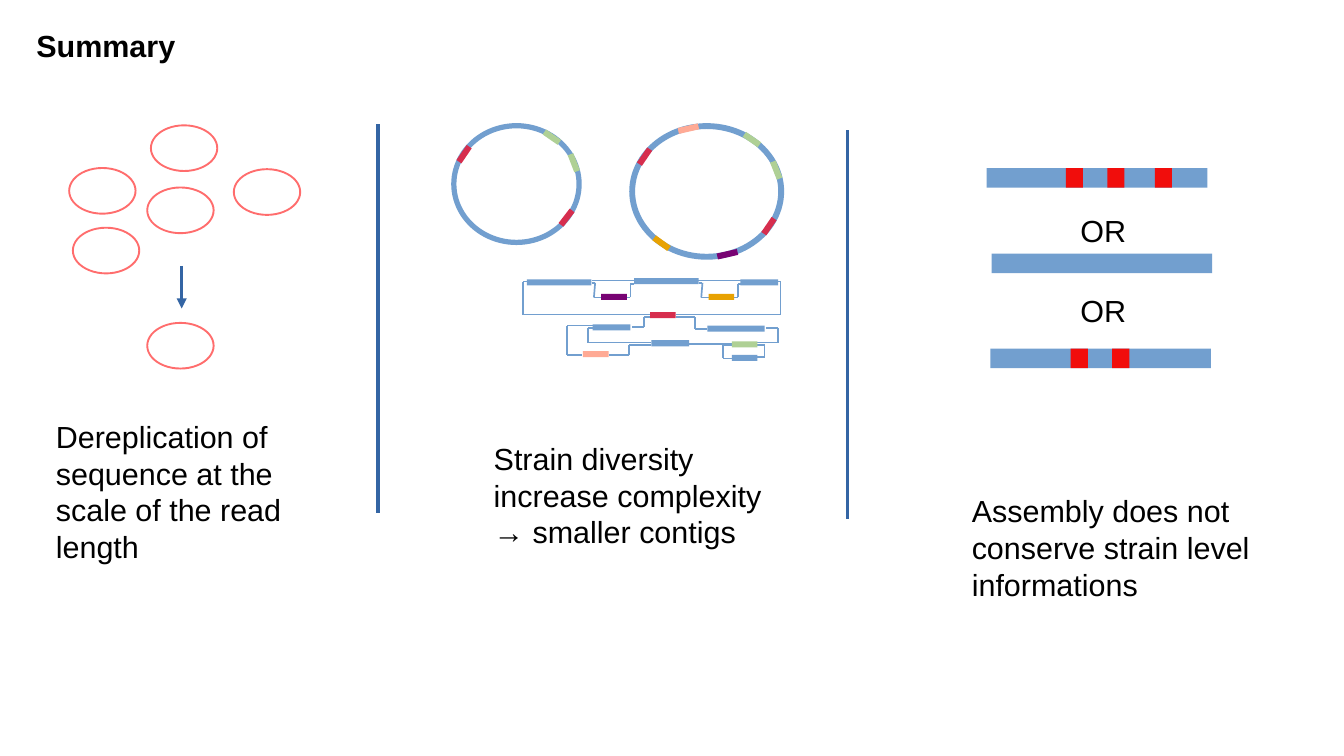
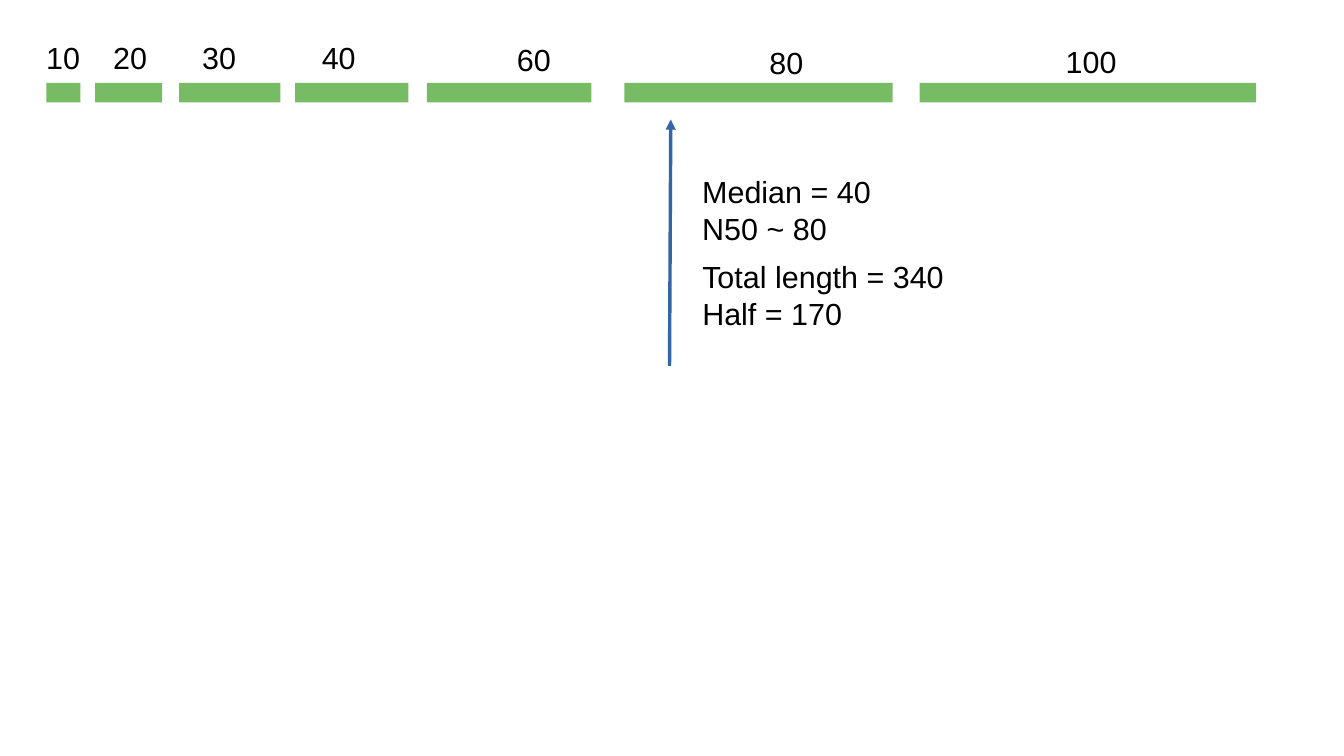
from itertools import pairwise

from lxml import etree
from pptx import Presentation
from pptx.dml.color import RGBColor
from pptx.enum.shapes import MSO_CONNECTOR, MSO_SHAPE
from pptx.enum.text import MSO_ANCHOR, MSO_AUTO_SIZE
from pptx.oxml.ns import qn
from pptx.util import Pt

RECTANGLE = MSO_SHAPE.RECTANGLE
DONUT = MSO_SHAPE.DONUT
STRAIGHT = MSO_CONNECTOR.STRAIGHT
PX = 9144


class Theme:
    text = RGBColor.from_string("000000")
    background = RGBColor.from_string("FFFFFF")
    blue = RGBColor.from_string("729FCF")
    navy = RGBColor.from_string("3465A4")
    coral = RGBColor.from_string("FF6D6D")
    lime = RGBColor.from_string("AFD095")
    crimson = RGBColor.from_string("D62E4E")
    amber = RGBColor.from_string("E8A202")
    purple = RGBColor.from_string("780373")
    salmon = RGBColor.from_string("FFAA95")
    red = RGBColor.from_string("F10D0C")
    green = RGBColor.from_string("77BC65")
    font = "Arial"
    size = Pt(18)
    wire = Pt(1)
    hairline = Pt(0)


FRAME_FORMAT = {
    "word_wrap": True,
    "auto_size": MSO_AUTO_SIZE.SHAPE_TO_FIT_TEXT,
    "vertical_anchor": MSO_ANCHOR.TOP,
    "margin_left": 10 * PX,
    "margin_right": 10 * PX,
    "margin_top": 5 * PX,
    "margin_bottom": 5 * PX,
}
FONT_FORMAT = {"name": Theme.font, "size": Theme.size}

summary_blocks = [
    (DONUT, (left, top, 56, 39), Theme.coral, 0, 0.04)
    for left, top in [(59, 186), (56, 137), (123, 102), (120, 153), (191, 138), (120, 264)]
]
summary_blocks += [
    (DONUT, box, Theme.blue, 0, 0.043) for box in [(370, 101, 107, 100), (516, 101, 127, 112)]
]

for left, top, width, color, rotation in [
    (445, 110, 15, Theme.lime, 34.7),
    (463, 131, 15, Theme.lime, 68.6),
    (457, 176, 15, Theme.crimson, 127.7),
    (373, 124, 15, Theme.crimson, 124.2),
    (609, 112, 15, Theme.lime, 34.7),
    (629, 137, 15, Theme.lime, 68.5),
    (521, 126, 15, Theme.crimson, 124.2),
    (623, 183, 15, Theme.crimson, 124.2),
    (535, 197, 15, Theme.amber, 35.8),
    (588, 206, 17, Theme.purple, 347.3),
    (556, 103, 17, Theme.salmon, 347.2),
    (432, 229, 53, Theme.blue, 0),
    (520, 228, 53, Theme.blue, 0),
    (607, 229, 31, Theme.blue, 0),
    (493, 241, 21, Theme.purple, 0),
    (581, 241, 21, Theme.amber, 0),
    (533, 256, 21, Theme.crimson, 0),
    (486, 266, 31, Theme.blue, 0),
    (580, 267, 47, Theme.blue, 0),
    (534, 279, 31, Theme.blue, 0),
    (600, 280, 21, Theme.lime, 0),
    (478, 288, 21, Theme.salmon, 0),
    (600, 291, 21, Theme.blue, 0),
]:
    summary_blocks.append((RECTANGLE, (left, top, width, 5), color, rotation, None))

for left, top, variants in [(809, 138, (65, 99, 138)), (813, 208, ()), (812, 286, (66, 100))]:
    summary_blocks.append((RECTANGLE, (left, top, 181, 16), Theme.blue, 0, None))
    for offset in variants:
        summary_blocks.append((RECTANGLE, (left + offset, top, 14, 16), Theme.red, 0, None))

graph_wires = [
    [(432, 231), (429, 231), (429, 258), (534, 258)],
    [(554, 258), (640, 258), (640, 231), (637, 231)],
    [(533, 260), (528, 260), (528, 268), (518, 268)],
    [(554, 260), (570, 260), (570, 270), (580, 270)],
    [(628, 269), (638, 269), (638, 281), (621, 281)],
    [(621, 283), (627, 283), (627, 293), (621, 293)],
    [(600, 283), (593, 283), (593, 294), (600, 294)],
    [(486, 267), (465, 267), (465, 291), (477, 291)],
    [(486, 269), (482, 269), (482, 281), (534, 281)],
    [(534, 283), (516, 283), (516, 291), (499, 291)],
    [(565, 282), (600, 282)],
    [(567, 230), (593, 230)],
]
for left in (485, 573):
    graph_wires += [
        [(left, 230), (left + 35, 230)],
        [(left, 232), (left + 3, 232), (left + 2, 244), (left + 8, 244)],
        [(left + 29, 244), (left + 32, 244), (left + 32, 233), (left + 35, 233)],
    ]
summary_lines = [(points, Theme.blue, Theme.wire, False) for points in graph_wires]
summary_lines += [
    ([(149, 218), (149, 253)], Theme.navy, Theme.hairline, True),
    ([(310, 102), (310, 421)], Theme.navy, Theme.hairline, False),
    ([(695, 107), (695, 426)], Theme.navy, Theme.hairline, False),
]

summary_texts = [
    ((20, 17, 718, 72), ["Summary"], True),
    ((36, 338, 254, 122), ["Dereplication of sequence at the scale of the read length"], False),
    ((395, 356, 254, 94), ["Strain diversity increase complexity", "→ smaller contigs"], False),
    ((787, 399, 254, 94), ["Assembly does not conserve strain level informations"], False),
    ((876, 169, 68, 66), ["OR"], False),
    ((876, 235, 68, 66), ["OR"], False),
]

contig_blocks = []
contig_texts = [
    ((566, 137, 197, 66), ["Median = 40", "N50 ~ 80"], False),
    ((566, 207, 249, 94), ["Total length = 340", "Half = 170"], False),
]
for length, left, width, label_left, label_top in [
    (10, 38, 28, 28, 27),
    (20, 78, 55, 83, 27),
    (30, 147, 83, 156, 27),
    (40, 242, 93, 254, 27),
    (60, 350, 135, 414, 29),
    (80, 512, 220, 621, 31),
    (100, 754, 276, 864, 30),
]:
    contig_blocks.append((RECTANGLE, (left, 68, width, 16), Theme.green, 0, None))
    contig_texts.append(((label_left, label_top, 73, 38), [str(length)], False))
contig_lines = [([(549, 300), (550, 98)], Theme.navy, Theme.hairline, True)]

presentation = Presentation()
presentation.slide_width = 1102 * PX
presentation.slide_height = 620 * PX
blank_layout = presentation.slide_layouts[6]

for lines, blocks, texts in [
    (summary_lines, summary_blocks, summary_texts),
    (contig_lines, contig_blocks, contig_texts),
]:
    slide = presentation.slides.add_slide(blank_layout)
    slide.background.fill.solid()
    slide.background.fill.fore_color.rgb = Theme.background

    for points, color, width, has_arrow in lines:
        for start, end in pairwise(points):
            connector = slide.shapes.add_connector(
                STRAIGHT, *(value * PX for value in start + end)
            )
            connector.line.color.rgb = color
            connector.line.width = width
            properties = connector.element.spPr
            if has_arrow:
                etree.SubElement(properties.find(qn("a:ln")), qn("a:tailEnd"), type="triangle")
            etree.SubElement(properties, qn("a:effectLst"))

    for kind, box, color, rotation, thickness in blocks:
        shape = slide.shapes.add_shape(kind, *(value * PX for value in box))
        shape.shadow.inherit = False
        shape.fill.solid()
        shape.fill.fore_color.rgb = color
        shape.line.fill.background()
        shape.rotation = rotation
        if thickness is not None:
            shape.adjustments[0] = thickness

    for box, paragraphs, bold in texts:
        frame = slide.shapes.add_textbox(*(value * PX for value in box)).text_frame
        for name, value in FRAME_FORMAT.items():
            setattr(frame, name, value)
        frame.text = "\n".join(paragraphs)
        for paragraph in frame.paragraphs:
            for name, value in FONT_FORMAT.items():
                setattr(paragraph.font, name, value)
            paragraph.font.bold = bold
            paragraph.font.color.rgb = Theme.text

presentation.save("out.pptx")
